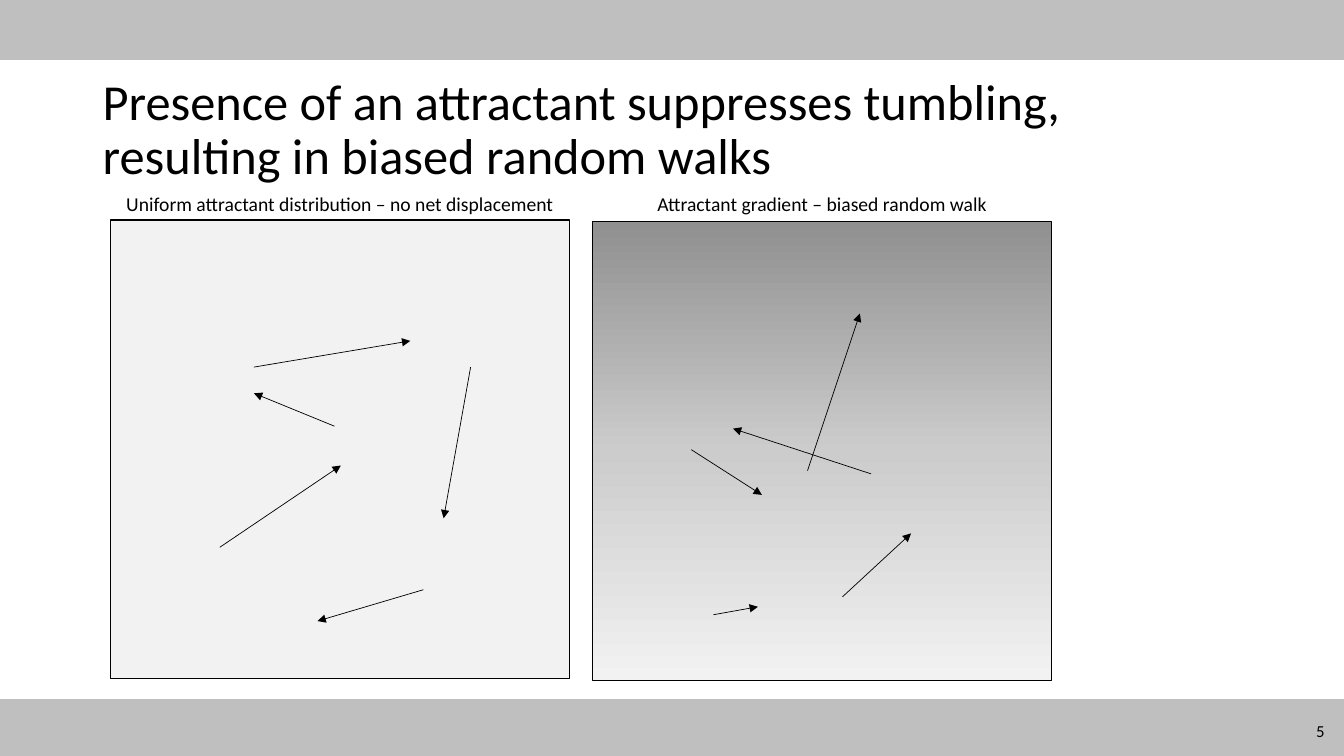
from copy import deepcopy

from lxml.etree import SubElement
from pptx import Presentation
from pptx.dml.color import RGBColor
from pptx.enum.shapes import MSO_CONNECTOR, MSO_SHAPE
from pptx.enum.text import MSO_ANCHOR, PP_ALIGN
from pptx.oxml.ns import qn
from pptx.util import Cm, Pt

COLORS = {"bar": "BFBFBF", "ink": "000000", "uniform": "F2F2F2"}
GRADIENT = [(0, "909090"), (0.5, "CCCCCC"), (1, "F2F2F2")]
FONT = "Calibri"

TITLE = "Presence of an attractant suppresses tumbling,\vresulting in biased random walks"
PAGE_NUMBER = "5"

# All lengths in cm; each run is (x1, y1, x2, y2)
PANELS = [
    {
        "caption": "Uniform attractant distribution – no net displacement",
        "left": 2.79, "top": 5.54, "graded": False,
        "runs": [
            (5.54, 13.79, 8.59, 11.73),
            (6.4, 9.25, 10.34, 8.59),
            (8.43, 10.74, 6.4, 9.91),
            (11.86, 9.25, 11.18, 13.06),
            (10.67, 14.86, 8, 15.65),
        ],
    },
    {
        "caption": "Attractant gradient – biased random walk",
        "left": 14.94, "top": 5.59, "graded": True,
        "runs": [
            (17.98, 15.49, 19.1, 15.29),
            (21.23, 15.04, 22.96, 13.44),
            (21.95, 11.94, 18.47, 10.8),
            (17.42, 11.33, 19.2, 12.47),
            (20.35, 11.86, 21.67, 7.9),
        ],
    },
]
PANEL_SIDE = 11.56
CAPTION_TOP, CAPTION_HEIGHT = 4.7, 0.81
SLIDE_WIDTH, SLIDE_HEIGHT = 33.87, 19.05
BAR_HEIGHT = 1.5
BAR_TOPS = [17.63, 0]


def rgb(name):
    return RGBColor.from_string(COLORS[name])


def add_box(slide, left, top, width, height, fill, line):
    sp = slide.shapes.add_shape(
        MSO_SHAPE.RECTANGLE, Cm(left), Cm(top), Cm(width), Cm(height))
    sp.shadow.inherit = False
    sp.fill.solid()
    sp.fill.fore_color.rgb = rgb(fill)
    sp.line.color.rgb = rgb(line)
    sp.line.width = Pt(1)
    return sp


def fill_gradient(sp):
    """Shade the shape from top to bottom with the GRADIENT stops."""
    sp.fill.gradient()
    sp.fill.gradient_angle = 270
    stop_list = sp._element.spPr.find(qn("a:gradFill")).find(qn("a:gsLst"))
    stop_list.insert(1, deepcopy(stop_list[0]))
    for gs, stop, (position, color) in zip(
            stop_list, sp.fill.gradient_stops, GRADIENT):
        gs.set("pos", str(int(position * 100000)))
        stop.color.rgb = RGBColor.from_string(color)


def add_arrow(slide, run):
    line = slide.shapes.add_connector(MSO_CONNECTOR.STRAIGHT, *map(Cm, run))
    line.line.color.rgb = rgb("ink")
    line.line.width = Pt(0.5)
    SubElement(line.line._get_or_add_ln(), qn("a:tailEnd"), type="triangle")
    SubElement(line._element.spPr, qn("a:effectLst"))


def add_text(slide, text, left, top, width, height, size, align,
             anchor=MSO_ANCHOR.MIDDLE, spacing=1.0):
    tf = slide.shapes.add_textbox(
        Cm(left), Cm(top), Cm(width), Cm(height)).text_frame
    tf.word_wrap = True
    tf.vertical_anchor = anchor
    p = tf.paragraphs[0]
    p.text = text
    p.alignment = align
    p.line_spacing = spacing
    for r in p.runs:
        r.font.name = FONT
        r.font.size = Pt(size)
        r.font.color.rgb = rgb("ink")


def add_panel(slide, panel):
    sp = add_box(slide, panel["left"], panel["top"], PANEL_SIDE, PANEL_SIDE,
                 "uniform", "ink")
    if panel["graded"]:
        fill_gradient(sp)
    for run in panel["runs"]:
        add_arrow(slide, run)
    add_text(slide, panel["caption"], panel["left"], CAPTION_TOP, PANEL_SIDE,
             CAPTION_HEIGHT, 14, PP_ALIGN.CENTER, MSO_ANCHOR.TOP)


def main():
    prs = Presentation()
    prs.slide_width, prs.slide_height = Cm(SLIDE_WIDTH), Cm(SLIDE_HEIGHT)
    slide = prs.slides.add_slide(prs.slide_layouts[6])
    for top in BAR_TOPS:
        add_box(slide, 0, top, SLIDE_WIDTH, BAR_HEIGHT, "bar", "bar")
    for panel in PANELS:
        add_panel(slide, panel)
    add_text(slide, TITLE, 2.34, 1.47, 29.21, 3.68, 36, PP_ALIGN.LEFT,
             spacing=0.9)
    add_text(slide, PAGE_NUMBER, 26.01, 17.91, 7.62, 1.02, 12, PP_ALIGN.RIGHT)
    prs.save("out.pptx")


if __name__ == "__main__":
    main()
